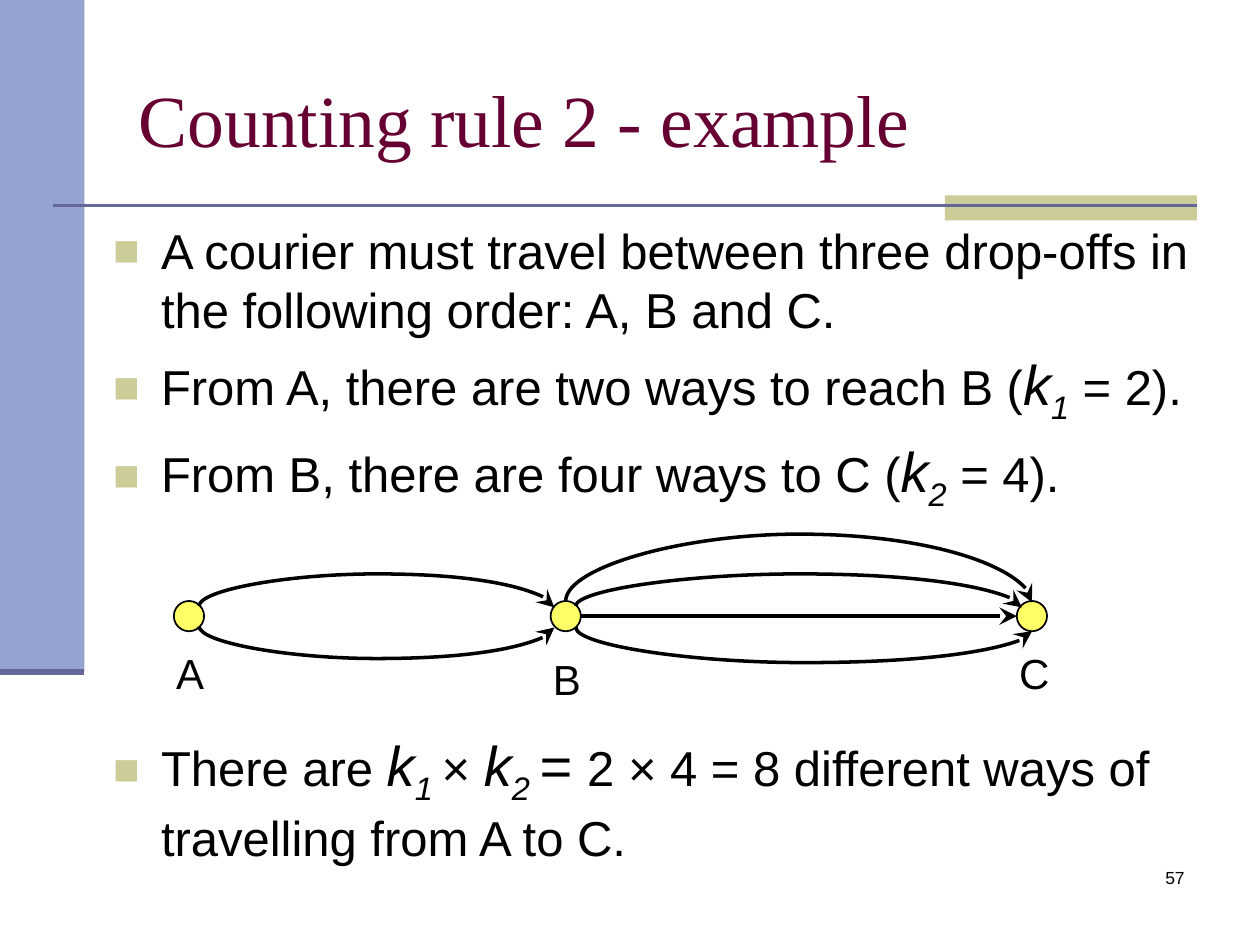
from lxml.etree import SubElement
from pptx import Presentation
from pptx.dml.color import RGBColor
from pptx.enum.shapes import MSO_CONNECTOR as Connector, MSO_SHAPE as Shape
from pptx.enum.text import MSO_ANCHOR as Anchor, MSO_AUTO_SIZE as AutoSize, PP_ALIGN as Align
from pptx.oxml.ns import qn
from pptx.util import Inches, Pt

COLORS = {
    "band": "95A3D1", "accent": "CCCC99", "rule": "666699", "title": "660033",
    "node": "FFFF66", "ink": "000000",
}


def color(name):
    return RGBColor.from_string(COLORS[name])


class SlideBuilder:
    """Holds the text style and the slide being built."""

    body_font, title_font = "Arial", "Times New Roman"
    # Run styles: size, italic, baseline offset
    run_styles = {
        "plain": (28, False, None),
        "symbol": (32, True, None),
        "subscript": (32, True, "-25000"),
    }

    def __init__(self, slide):
        self.slide = slide

    def format_font(self, font, size, name=None, ink="ink"):
        font.name = name or self.body_font
        font.size = Pt(size)
        font.color.rgb = color(ink)

    def title(self, text, left, top, width, height):
        title = self.slide.shapes.title
        title.left, title.top = Inches(left), Inches(top)
        title.width, title.height = Inches(width), Inches(height)
        frame = title.text_frame
        frame.text = text
        frame.auto_size = AutoSize.NONE
        frame.vertical_anchor = Anchor.MIDDLE
        paragraph = frame.paragraphs[0]
        paragraph.alignment = Align.LEFT
        self.format_font(paragraph.runs[0].font, 42, self.title_font, "title")

    def text_box(self, left, top, width, height):
        box = self.slide.shapes.add_textbox(
            Inches(left), Inches(top), Inches(width), Inches(height))
        box.text_frame.word_wrap = True
        return box.text_frame

    def label(self, text, left, top, width, size, align=Align.LEFT):
        frame = self.text_box(left, top, width, 0.5)
        frame.text = text
        paragraph = frame.paragraphs[0]
        paragraph.alignment = align
        self.format_font(paragraph.runs[0].font, size)

    def bullets(self, items, left, top, width, height):
        frame = self.text_box(left, top, width, height)
        for index, (space_before, runs) in enumerate(items):
            paragraph = frame.paragraphs[0] if index == 0 else frame.add_paragraph()
            paragraph.space_before = Pt(space_before)
            self.add_bullet(paragraph)
            for text, style in runs:
                size, italic, baseline = self.run_styles[style]
                run = paragraph.add_run()
                run.text = text
                self.format_font(run.font, size)
                run.font.italic = italic
                if baseline:
                    run.font._element.set("baseline", baseline)

    def add_bullet(self, paragraph):
        properties = paragraph._p.get_or_add_pPr()
        properties.set("marL", str(Inches(0.38)))
        properties.set("indent", str(-Inches(0.38)))
        bullet_color = SubElement(properties, qn("a:buClr"))
        SubElement(bullet_color, qn("a:srgbClr"), val=COLORS["accent"])
        SubElement(properties, qn("a:buSzPct"), val="90000")
        SubElement(properties, qn("a:buFont"), typeface=self.body_font)
        SubElement(properties, qn("a:buChar"), char="■")

    def shape(self, kind, left, top, width, height, fill, line=None):
        shape = self.slide.shapes.add_shape(
            kind, Inches(left), Inches(top), Inches(width), Inches(height))
        shape.shadow.inherit = False
        shape.fill.solid()
        shape.fill.fore_color.rgb = color(fill)
        if line:
            shape.line.color.rgb = color(line)
            shape.line.width = Pt(1)
        else:
            shape.line.fill.background()

    def line(self, start, end, ink="ink", weight=2, arrow=False, kind=Connector.STRAIGHT):
        connector = self.slide.shapes.add_connector(
            kind, *(Inches(value) for value in (*start, *end)))
        connector.line.color.rgb = color(ink)
        connector.line.width = Pt(weight)
        if arrow:
            SubElement(connector.line._get_or_add_ln(), qn("a:tailEnd"),
                       type="stealth", w="lg", len="lg")
        SubElement(connector._element.spPr, qn("a:effectLst"))
        return connector

    def curve(self, start, end, bulge):
        """Arched arrow; a negative bulge rises above the start point."""
        (x1, y1), (x2, y2) = start, end
        drop, span = y2 - y1, x2 - x1
        middle_x, middle_y = (x1 + x2) / 2, (y1 + y2) / 2
        # Running bottom to top flips the frame; a quarter turn then lays it flat
        connector = self.line(
            (middle_x - drop / 2, middle_y + span / 2),
            (middle_x + drop / 2, middle_y - span / 2),
            arrow=True, kind=Connector.CURVE)
        properties = connector._element.spPr
        properties.find(qn("a:xfrm")).set("rot", str(90 * 60000))
        adjustments = properties.find(qn("a:prstGeom")).find(qn("a:avLst"))
        SubElement(adjustments, qn("a:gd"), name="adj1",
                   fmla=f"val {round(bulge / drop * 100000)}")


def main():
    presentation = Presentation()
    presentation.slide_width, presentation.slide_height = Inches(10), Inches(7.5)
    slide = presentation.slides.add_slide(presentation.slide_layouts[5])
    builder = SlideBuilder(slide)

    # Side band and title rule
    builder.shape(Shape.RECTANGLE, 0, 0, 0.67, 5.33, "band")
    builder.shape(Shape.RECTANGLE, 7.5, 1.55, 2, 0.2, "accent")
    builder.line((0.42, 1.63), (9.5, 1.63), "rule", 1.5)
    builder.line((0, 5.33), (0.67, 5.33), "rule", 3.5)

    # Title, body and slide number
    builder.title("Counting rule 2 - example", 1, 0.31, 8.5, 1.25)
    builder.bullets([
        (0, [("A courier must travel between three drop-offs in the following "
              "order: A, B and C.", "plain")]),
        (6.3, [("From A, there are two ways to reach B (", "plain"), ("k", "symbol"),
               ("1", "subscript"), (" = 2).", "plain")]),
        (6.3, [("From B, there are four ways to C (", "plain"), ("k", "symbol"),
               ("2", "subscript"), (" = 4).", "plain")]),
        # The wide gap leaves room for the route diagram
        (124.3, [("There are ", "plain"), ("k", "symbol"), ("1 ", "subscript"),
                 ("× ", "plain"), ("k", "symbol"), ("2 ", "subscript"), ("= ", "symbol"),
                 ("2 × 4 = 8 different ways of travelling from A to C.", "plain")]),
    ], 0.8, 1.7, 9, 5.1)
    builder.label("57", 7.42, 6.83, 2.08, 10, Align.RIGHT)

    # Drop-offs
    for name, left, label_top in (("A", 1.38, 5.09), ("B", 4.37, 5.14), ("C", 8.07, 5.09)):
        builder.shape(Shape.OVAL, left, 4.77, 0.24, 0.24, "node", "ink")
        builder.label(name, left - 0.08, label_top, 0.47, 24)

    # Routes from A to B, then from B to C
    builder.curve((1.58, 4.81), (4.4, 4.82), -0.26)
    builder.curve((1.58, 4.97), (4.4, 4.98), 0.26)
    builder.curve((4.57, 4.81), (8.11, 4.82), -0.26)
    builder.line((4.61, 4.89), (8.07, 4.89), arrow=True)
    builder.curve((4.57, 4.98), (8.19, 5.01), 0.28)
    builder.curve((4.49, 4.77), (8.19, 4.78), -0.54)

    presentation.save("out.pptx")


if __name__ == "__main__":
    main()
